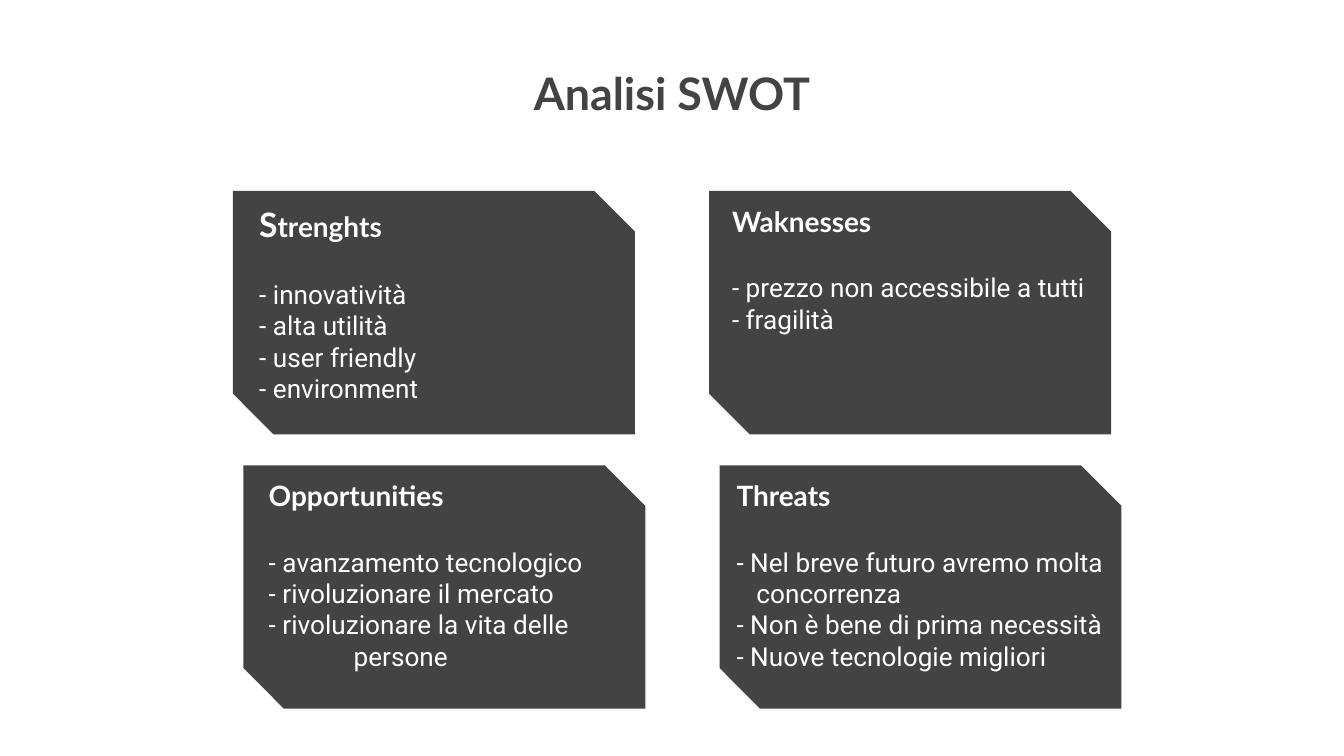
import dataclasses

import pptx
import pptx.dml.color
import pptx.enum.shapes
import pptx.enum.text
import pptx.util

Pt = pptx.util.Pt


@dataclasses.dataclass(frozen=True)
class Theme:
    dark: str = "434343"
    light: str = "FFFFFF"
    heading_font: str = "Lato"
    body_font: str = "Roboto"
    title_size: float = 24
    initial_size: float = 18
    heading_size: float = 15
    body_size: float = 14
    body_leading: float = 16.8
    heading_gap: float = 18
    inset: float = 7.2


THEME = Theme()

PANELS = [
    {"heading": [("S", THEME.initial_size), ("trenghts", THEME.heading_size)],
     "text_offset": 7,
     "items": [("- innovatività", 0), ("- alta utilità", 0),
               ("- user friendly", 0), ("- environment", 0)]},
    {"heading": [("Waknesses", THEME.heading_size)],
     "text_offset": 5.2,
     "items": [("- prezzo non accessibile a tutti", 0), ("- fragilità", 0)]},
    {"heading": [("Opportunities", THEME.heading_size)],
     "text_offset": 6.5,
     "items": [("- avanzamento tecnologico", 0), ("- rivoluzionare il mercato", 0),
               ("- rivoluzionare la vita delle\vpersone", 45.5)]},
    {"heading": [("Threats", THEME.heading_size)],
     "text_offset": 2,
     "items": [("- Nel breve futuro avremo molta\vconcorrenza", 10.7),
               ("- Non è bene di prima necessità", 0),
               ("- Nuove tecnologie migliori", 0)]},
]


def apply_format(target, values):
    for name, value in values.items():
        setattr(target, name, value)


def format_font(font, name, size, color, bold):
    apply_format(font, {"name": name, "size": Pt(size), "bold": bold})
    font.color.rgb = pptx.dml.color.RGBColor.from_string(color)


def format_frame(frame):
    margins = ("margin_left", "margin_top", "margin_right", "margin_bottom")
    apply_format(frame, {
        **{margin: Pt(THEME.inset) for margin in margins},
        "word_wrap": True,
        "auto_size": pptx.enum.text.MSO_AUTO_SIZE.NONE,
        "vertical_anchor": pptx.enum.text.MSO_ANCHOR.TOP,
    })


def add_title(slide, left, top, width, height):
    title = slide.shapes.title
    apply_format(title, {"left": Pt(left), "top": Pt(top),
                         "width": Pt(width), "height": Pt(height)})
    format_frame(title.text_frame)
    paragraph = title.text_frame.paragraphs[0]
    paragraph.alignment = pptx.enum.text.PP_ALIGN.CENTER
    run = paragraph.add_run()
    run.text = "Analisi SWOT"
    format_font(run.font, THEME.heading_font, THEME.title_size, THEME.dark, True)


def add_item(frame, text, hanging, space_before):
    paragraph = frame.add_paragraph()
    properties = paragraph._p.get_or_add_pPr()
    properties.set("marL", str(int(Pt(hanging))))
    properties.set("indent", str(-int(Pt(hanging))))
    apply_format(paragraph, {"line_spacing": Pt(THEME.body_leading),
                             "space_before": Pt(space_before)})
    paragraph.text = text
    for run in paragraph.runs:
        format_font(run.font, THEME.body_font, THEME.body_size, THEME.light, False)


def add_panel(slide, panel, left, top, width, height):
    card = slide.shapes.add_shape(
        pptx.enum.shapes.MSO_SHAPE.SNIP_2_DIAG_RECTANGLE,
        Pt(left), Pt(top), Pt(width), Pt(height))
    card.shadow.inherit = False
    card.fill.solid()
    card.fill.fore_color.rgb = pptx.dml.color.RGBColor.from_string(THEME.dark)
    card.line.fill.background()

    text_box = slide.shapes.add_textbox(
        Pt(left + panel["text_offset"]), Pt(top), Pt(width + 16), Pt(height))
    frame = text_box.text_frame
    format_frame(frame)
    for text, size in panel["heading"]:
        run = frame.paragraphs[0].add_run()
        run.text = text
        format_font(run.font, THEME.heading_font, size, THEME.light, True)
    for index, (text, hanging) in enumerate(panel["items"]):
        add_item(frame, text, hanging, 0 if index else THEME.heading_gap)


def add_swot_grid(slide, left, top, width, height):
    column_gap, row_gap, row_shift = 39.8, 16.6, 5.6
    card_width = (width - column_gap - row_shift) / 2
    card_height = (height - row_gap) / 2
    for index, panel in enumerate(PANELS):
        row, column = divmod(index, 2)
        add_panel(slide, panel,
                  left + column * (card_width + column_gap) + row * row_shift,
                  top + row * (card_height + row_gap),
                  card_width, card_height)


def main():
    presentation = pptx.Presentation()
    apply_format(presentation, {"slide_width": Pt(720), "slide_height": Pt(405)})
    slide = presentation.slides.add_slide(presentation.slide_layouts[5])
    add_title(slide, 154.8, 28.1, 410.4, 74.2)
    add_swot_grid(slide, 124.8, 102.3, 476, 277.4)
    presentation.save("out.pptx")


if __name__ == "__main__":
    main()
